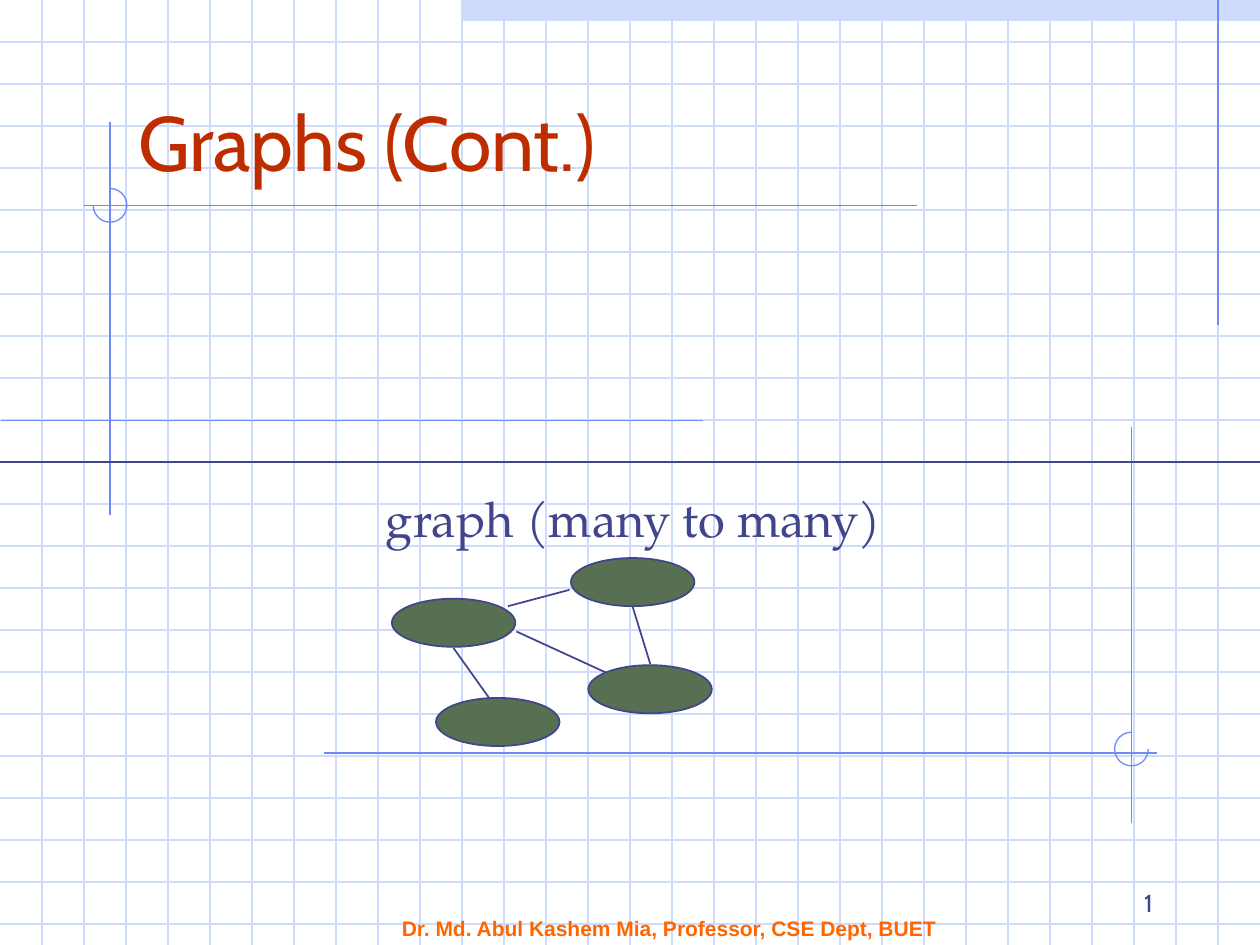
from lxml import etree
from pptx import Presentation
from pptx import util as u
from pptx.dml.color import RGBColor
from pptx.enum import shapes, text
from pptx.oxml.ns import qn

WIDTH, HEIGHT = 25.4, 19.05
STEP = WIDTH / 30  # spacing of the squared paper
PALE, BLUE, NAVY = "CFDBFD", "6F89F7", "40458C"
GREEN, RED, ORANGE = "577052", "BE2D00", "FF6600"


def colour(hex_code):
    return RGBColor.from_string(hex_code)


def add_line(slide, x1, y1, x2, y2, line_colour, weight=0.75):
    line = slide.shapes.add_connector(
        shapes.MSO_CONNECTOR.STRAIGHT, u.Cm(x1), u.Cm(y1), u.Cm(x2), u.Cm(y2))
    line.line.color.rgb = colour(line_colour)
    line.line.width = u.Pt(weight)
    etree.SubElement(line._element.spPr, qn("a:effectLst"))


def add_shape(slide, kind, x, y, w, h, fill=None, outline=None, weight=0.75):
    shape = slide.shapes.add_shape(kind, u.Cm(x), u.Cm(y), u.Cm(w), u.Cm(h))
    shape.shadow.inherit = False
    if fill:
        shape.fill.solid()
        shape.fill.fore_color.rgb = colour(fill)
    else:
        shape.fill.background()
    if outline:
        shape.line.color.rgb = colour(outline)
        shape.line.width = u.Pt(weight)
    else:
        shape.line.fill.background()
    return shape


def add_text(slide, box, words, font, size, text_colour, bold=False,
             anchor=text.MSO_ANCHOR.TOP, align=text.PP_ALIGN.LEFT):
    frame = slide.shapes.add_textbox(*(u.Cm(v) for v in box)).text_frame
    frame.word_wrap = True
    frame.vertical_anchor = anchor
    paragraph = frame.paragraphs[0]
    paragraph.alignment = align
    run = paragraph.add_run()
    run.text = words
    run.font.name = font
    run.font.size = u.Pt(size)
    run.font.bold = bold
    run.font.color.rgb = colour(text_colour)


def squared_paper(slide, x, y, w, h):
    # Band along the top right, then the grid over it
    add_shape(slide, shapes.MSO_SHAPE.RECTANGLE,
              x + 11 * STEP, y, w - 11 * STEP, STEP / 2, fill=PALE)
    for row in range(1, int(h / STEP) + 1):
        add_line(slide, x, y + row * STEP, x + w, y + row * STEP, PALE)
    for column in range(1, round(w / STEP)):
        add_line(slide, x + column * STEP, y, x + column * STEP, y + h, PALE)
    # Darker rule near the right edge
    add_line(slide, x + 29 * STEP, y, x + 29 * STEP, y + 6.55, BLUE)


def crossed_rules(slide, x, y, left, right, up, down, arc_drop, start, end):
    """Two rules crossing at x, y, with a three-quarter circle (degrees)."""
    radius = 0.34
    add_line(slide, x, y - up, x, y + down, BLUE)
    add_line(slide, x - left, y, x + right, y, BLUE)
    arc = add_shape(slide, shapes.MSO_SHAPE.ARC, x - radius,
                    y + arc_drop - radius, 2 * radius, 2 * radius, outline=BLUE)
    # Arc angles are 60000ths of a degree, adjustments 100000ths
    arc.adjustments[0] = start * 0.6
    arc.adjustments[1] = end * 0.6


def graph(slide, x, y, w):
    add_text(slide, (x, y, w, 1.45), "graph (many to many)",
             "TeX Gyre Pagella", 28, NAVY)
    # Nodes
    for dx, dy in [(0.38, 2.34), (3.99, 1.52), (4.34, 3.68), (1.27, 4.34)]:
        add_shape(slide, shapes.MSO_SHAPE.OVAL, x + dx, y + dy, 2.49, 0.97,
                  fill=GREEN, outline=NAVY, weight=1)
    # Edges
    for x1, y1, x2, y2 in [(2.89, 3, 4.7, 3.83), (5.23, 2.49, 5.59, 3.66),
                           (1.62, 3.33, 2.34, 4.34), (2.72, 2.49, 3.96, 2.16)]:
        add_line(slide, x + x1, y + y1, x + x2, y + y2, NAVY, 1)


def footer(slide, x, y):
    add_text(slide, (x, y + 1.14, 11.86, 0.46),
             "Dr. Md. Abul Kashem Mia, Professor, CSE Dept, BUET",
             "Arial", 12, ORANGE, bold=True, anchor=text.MSO_ANCHOR.MIDDLE)
    add_text(slide, (x + 10.36, y, 5.28, 1.27), "1", "Cabin", 14, NAVY,
             anchor=text.MSO_ANCHOR.BOTTOM, align=text.PP_ALIGN.RIGHT)


def main():
    deck = Presentation()
    deck.slide_width, deck.slide_height = u.Cm(WIDTH), u.Cm(HEIGHT)
    slide = deck.slides.add_slide(deck.slide_layouts[6])

    # Background
    squared_paper(slide, 0, 0, WIDTH, HEIGHT)
    add_line(slide, 0.03, 8.48, 14.17, 8.48, BLUE)
    crossed_rules(slide, 2.22, 4.14, left=0.53, right=16.27, up=1.68,
                  down=6.25, arc_drop=0, start=270, end=180)
    crossed_rules(slide, 22.81, 15.18, left=16.28, right=0.51, up=6.57,
                  down=1.41, arc_drop=-0.08, start=0, end=270)

    # Content
    footer(slide, 7.85, 17.35)
    add_text(slide, (2.54, 0.71, 21.59, 3.18), "Graphs (Cont.)", "Cabin", 44,
             RED, anchor=text.MSO_ANCHOR.BOTTOM)
    graph(slide, 7.52, 9.73, 11.02)
    add_line(slide, 0, 11 * STEP, WIDTH, 11 * STEP, NAVY, 1)

    deck.save("out.pptx")


if __name__ == "__main__":
    main()
